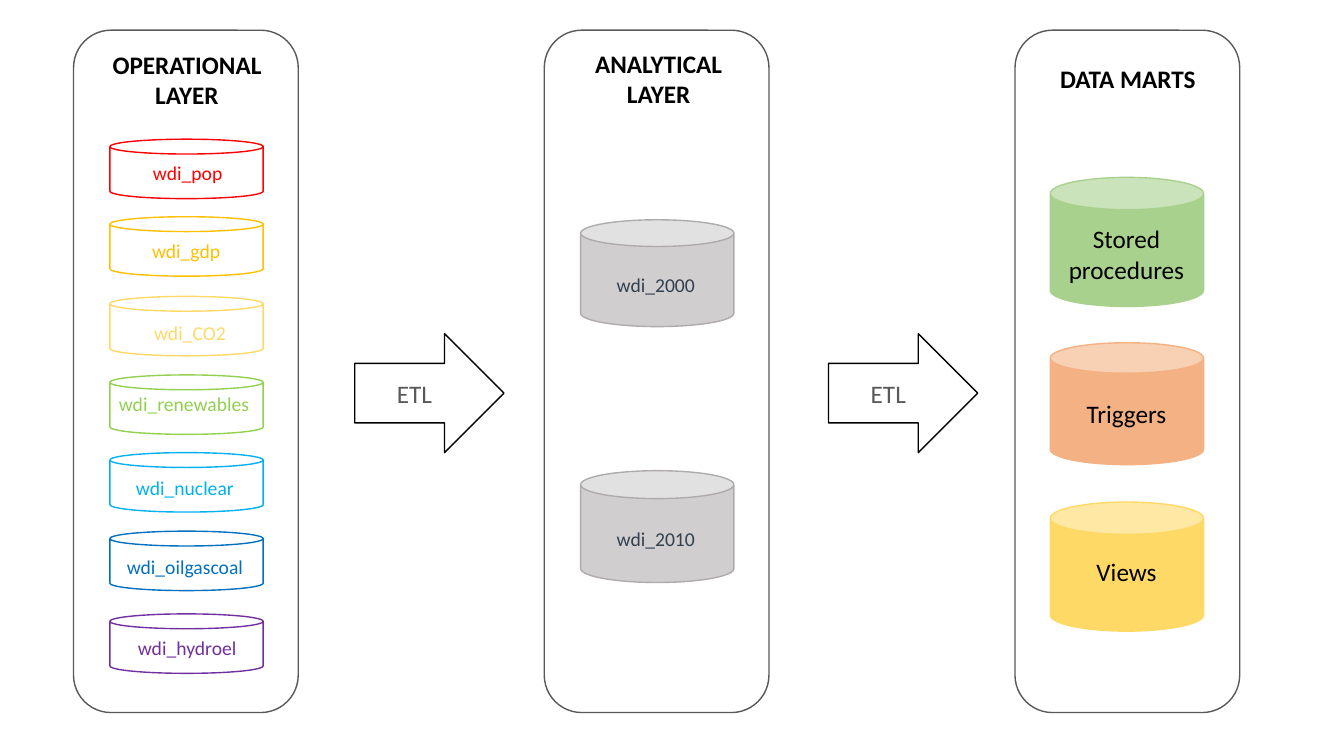
from pptx import Presentation
from pptx import util as u
from pptx.dml import color
from pptx.enum import shapes, text

FONT = "Calibri"
COLORS = {
    "outline": "595959", "black": "000000", "red": "FF0000", "orange": "FFC000",
    "yellow": "FFD966", "lime": "92D050", "sky": "00B0F0", "blue": "0070C0",
    "purple": "7030A0", "silver": "D0CECE", "grey": "AFABAB", "navy": "333F50",
    "green": "A9D18E", "peach": "F4B183",
}
PANEL_LEFT, PANEL_STEP = 52.56, 336.24
CAN_WIDTH = 109.5
SOURCE_CAN_HEIGHT = 42.5
BLANK_LAYOUT = 6

# name, colour, can top, label left, label top, label width
SOURCES = [
    ("wdi_pop", "red", 99.4, 102.2, 111.6, 64.8),
    ("wdi_gdp", "orange", 154.8, 101.5, 167, 64.1),
    ("wdi_CO2", "yellow", 211.7, 103, 225.4, 66.2),
    ("wdi_renewables", "lime", 267.8, 77.8, 276.5, 108.7),
    ("wdi_nuclear", "sky", 323.3, 90, 336.2, 85),
    ("wdi_oilgascoal", "blue", 379.4, 83.5, 393.1, 98.6),
    ("wdi_hydroel", "purple", 438.5, 91.4, 450.7, 85.7),
]
# name, can top, can height, label top
DECADES = [("wdi_2000", 157, 76.3, 191.5), ("wdi_2010", 336.2, 79.9, 373)]
# name, colour, can top, can height, label top, label height
MARTS = [
    ("Stored procedures", "green", 126.7, 92.2, 156.2, 51.1),
    ("Triggers", "peach", 244.8, 87.1, 280.8, 28.8),
    ("Views", "yellow", 358.6, 92.2, 393.8, 28.8),
]
# heading, left, top, width, height
HEADINGS = [
    ("OPERATIONAL\nLAYER", 72.7, 31.7, 121.7, 51.1),
    ("ANALYTICAL\nLAYER", 417.6, 31, 105.8, 51.1),
    ("DATA MARTS", 749.5, 41.8, 112.3, 28.8),
]


def rgb(name):
    """Return the named colour."""
    return color.RGBColor.from_string(COLORS[name])


def write(frame, words, size, ink, bold=False, centred=True):
    """Fill a text frame and format its runs."""
    frame.text = words
    for paragraph in frame.paragraphs:
        paragraph.alignment = text.PP_ALIGN.CENTER if centred else text.PP_ALIGN.LEFT
        for run in paragraph.runs:
            run.font.name = FONT
            run.font.size = u.Pt(size)
            run.font.bold = bold
            run.font.color.rgb = rgb(ink)


def add_outline(slide, kind, box, line, fill=None):
    """Add a preset shape with a thin line and an optional fill."""
    figure = slide.shapes.add_shape(kind, *map(u.Pt, box))
    figure.shadow.inherit = False
    figure.line.color.rgb = rgb(line)
    figure.line.width = u.Pt(1)
    if fill:
        figure.fill.solid()
        figure.fill.fore_color.rgb = rgb(fill)
    else:
        figure.fill.background()
    return figure


def add_can(slide, left, top, height, line, fill=None):
    """Add a database cylinder."""
    add_outline(slide, shapes.MSO_SHAPE.CAN, (left, top, CAN_WIDTH, height), line, fill)


def add_label(slide, words, box, size, ink, bold=False, centred=True, wrap=False):
    """Add a text box that grows with its text."""
    frame = slide.shapes.add_textbox(*map(u.Pt, box)).text_frame
    frame.word_wrap = wrap
    frame.auto_size = text.MSO_AUTO_SIZE.SHAPE_TO_FIT_TEXT
    write(frame, words, size, ink, bold, centred)


def add_etl_arrow(slide, left):
    """Add the block arrow that leads from one layer to the next."""
    arrow = add_outline(slide, shapes.MSO_SHAPE.RIGHT_ARROW,
                        (left, 238.3, 106.6, 85), "black")
    arrow.text_frame.vertical_anchor = text.MSO_ANCHOR.MIDDLE
    write(arrow.text_frame, "ETL", 18, "outline")


def main():
    """Build the data warehouse slide."""
    deck = Presentation()
    deck.slide_width, deck.slide_height = u.Pt(960), u.Pt(540)
    slide = deck.slides.add_slide(deck.slide_layouts[BLANK_LAYOUT])

    for index, (heading, *box) in enumerate(HEADINGS):
        panel = (PANEL_LEFT + index * PANEL_STEP, 21.6, 160.5, 487.4)
        add_outline(slide, shapes.MSO_SHAPE.ROUNDED_RECTANGLE, panel, "outline")
        add_label(slide, heading, box, 18, "black", bold=True)

    for name, hue, top, label_left, label_top, label_width in SOURCES:
        add_can(slide, 78.5, top, SOURCE_CAN_HEIGHT, hue)
        add_label(slide, name, (label_left, label_top, label_width, 24.5), 14, hue,
                  centred=False)

    for name, top, height, label_top in DECADES:
        add_can(slide, 414.7, top, height, "grey", "silver")
        add_label(slide, name, (433.4, label_top, 71.3, 24.5), 14, "navy", centred=False)

    for name, hue, top, height, label_top, label_height in MARTS:
        add_can(slide, 750.2, top, height, hue, hue)
        add_label(slide, name, (751, label_top, 107.3, label_height), 18, "black",
                  wrap=True)

    for left in (253.4, 591.8):
        add_etl_arrow(slide, left)

    deck.save("out.pptx")


main()
